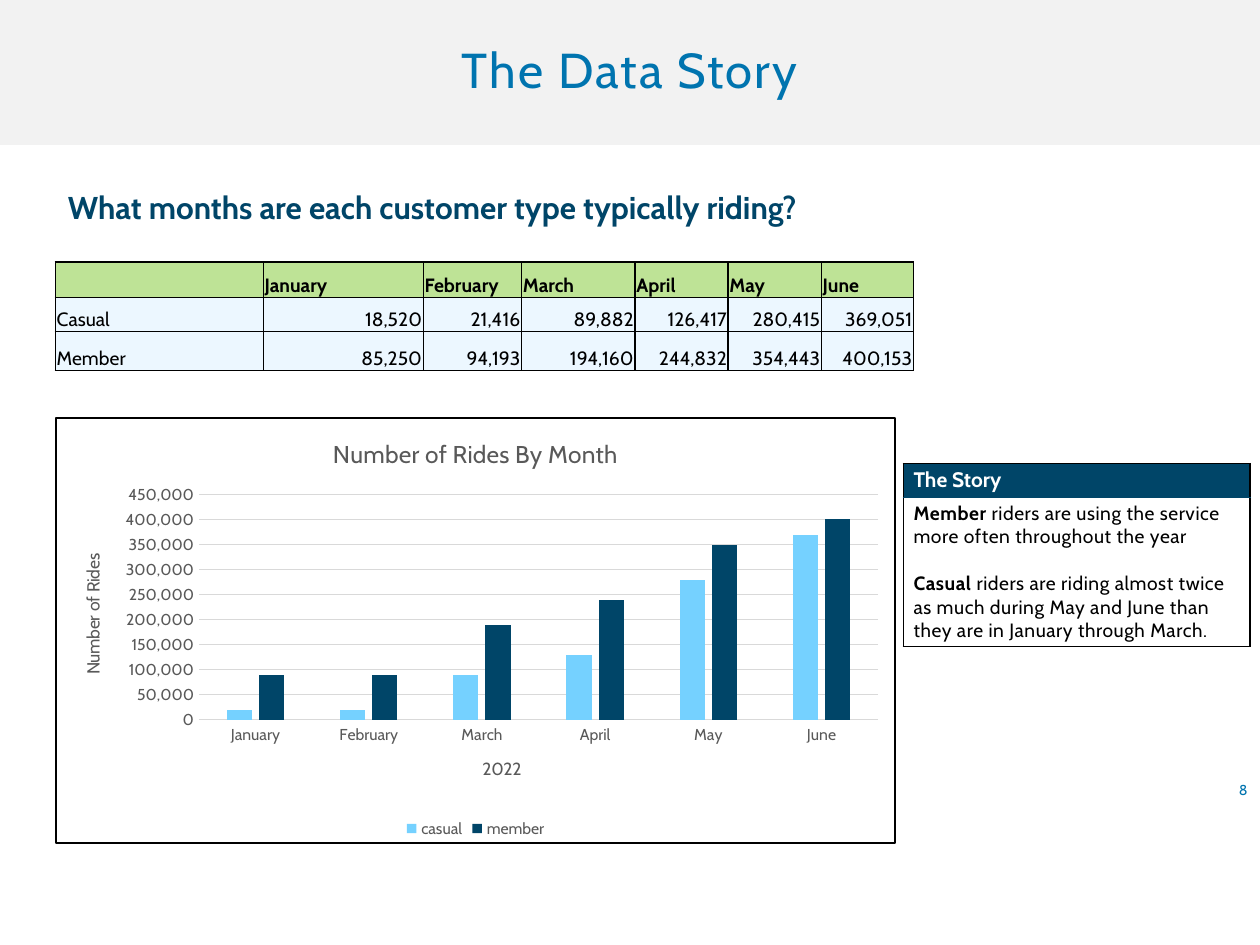
from lxml import etree
from pptx import Presentation
from pptx.chart.data import CategoryChartData
from pptx.dml.color import RGBColor
from pptx.enum.chart import XL_CHART_TYPE, XL_LEGEND_POSITION, XL_TICK_MARK
from pptx.enum.shapes import MSO_SHAPE
from pptx.enum.text import MSO_ANCHOR, PP_ALIGN
from pptx.oxml import parse_xml
from pptx.oxml.ns import nsdecls, qn
from pptx.util import Inches, Pt

COLUMNS = XL_CHART_TYPE.COLUMN_CLUSTERED
BOTTOM_LEGEND = XL_LEGEND_POSITION.BOTTOM
NO_TICKS = XL_TICK_MARK.NONE
MIDDLE, BOTTOM = MSO_ANCHOR.MIDDLE, MSO_ANCHOR.BOTTOM
LEFT, CENTER, RIGHT = PP_ALIGN.LEFT, PP_ALIGN.CENTER, PP_ALIGN.RIGHT
BLACK, WHITE, GRAY, GRID = "000000", "FFFFFF", "595959", "D9D9D9"
BLUE, NAVY, SKY = "0074AF", "004568", "75D1FF"

MONTHS = ["January", "February", "March", "April", "May", "June"]
RIDE_ROWS = [
    [""] + MONTHS,
    ["Casual", "18,520", "21,416", "89,882", "126,417", "280,415", "369,051"],
    ["Member", "85,250", "94,193", "194,160", "244,832", "354,443", "400,153"],
]
ROUNDED_RIDES = {
    "casual": [20000, 20000, 90000, 130000, 280000, 370000],
    "member": [90000, 90000, 190000, 240000, 350000, 400000],
}


def style(font, size, color, bold=False):
    font.name = "Cabin"
    font.size = Pt(size)
    font.bold = bold
    font.color.rgb = RGBColor.from_string(color)


def dress_cell(cell, fill, margins, top=BLACK, bottom=BLACK):
    """Set fill, margins (left, top, right, bottom) and borders, black at the sides."""
    cell.margin_left, cell.margin_top, cell.margin_right, cell.margin_bottom = map(Inches, margins)
    cell.fill.solid()
    cell.fill.fore_color.rgb = RGBColor.from_string(fill)
    properties = cell._tc.get_or_add_tcPr()
    for position, (side, color) in enumerate(zip("LRTB", (BLACK, BLACK, top, bottom))):
        properties.insert(position, parse_xml(
            f'<a:ln{side} w="12700" {nsdecls("a")}><a:solidFill>'
            f'<a:srgbClr val="{color}"/></a:solidFill></a:ln{side}>'))


prs = Presentation()
prs.slide_width, prs.slide_height = Inches(10), Inches(7.5)
slide = prs.slides.add_slide(prs.slide_layouts[6])
shapes = slide.shapes

# Title band
band = shapes.add_shape(MSO_SHAPE.RECTANGLE, 0, 0, Inches(10), Inches(1.15))
band.shadow.inherit = False
band.fill.solid()
band.fill.fore_color.rgb = RGBColor.from_string("F2F2F2")
band.line.fill.background()
band.text_frame.vertical_anchor = MIDDLE
heading = band.text_frame.paragraphs[0]
heading.alignment = CENTER
heading.line_spacing = 0.9
heading_run = heading.add_run()
heading_run.text = "The Data Story"
style(heading_run.font, 28, BLUE)
heading_run._r.get_or_add_rPr().set("spc", "120")

# Question and page number
for text, box, size, color, bold, align in [
    ("8", (7.75, 6.12, 2.25, 0.3), 8.2, BLUE, False, RIGHT),
    ("What months are each customer type typically riding?",
     (0.44, 1.44, 7.37, 0.4), 18, NAVY, True, LEFT),
]:
    frame = shapes.add_textbox(*map(Inches, box)).text_frame
    frame.word_wrap = True
    frame.vertical_anchor = MIDDLE
    line = frame.paragraphs[0]
    line.text = text
    line.alignment = align
    style(line.font, size, color, bold)

# Rides table
rides = shapes.add_table(3, 7, Inches(0.44), Inches(2.08), Inches(6.81), Inches(0.86)).table
for column, width in zip(rides.columns, [1.65, 1.27, 0.78, 0.9, 0.74, 0.74, 0.73]):
    column.width = Inches(width)
for row, height in zip(rides.rows, [0.28, 0.27, 0.31]):
    row.height = Inches(height)
for r, texts in enumerate(RIDE_ROWS):
    for c, text in enumerate(texts):
        cell = rides.cell(r, c)
        dress_cell(cell, "ECF7FF" if r else "BEE396", (0.01, 0.01, 0.01, 0))
        cell.vertical_anchor = BOTTOM
        entry = cell.text_frame.paragraphs[0]
        entry.text = text
        entry.alignment = RIGHT if r and c else LEFT
        style(entry.font, 11, BLACK, bold=r == 0)

# Rides chart
data = CategoryChartData(number_format="#,##0")
data.categories = MONTHS
for rider, counts in ROUNDED_RIDES.items():
    data.add_series(rider, counts)
chart = shapes.add_chart(COLUMNS, Inches(0.44), Inches(3.31), Inches(6.67), Inches(3.39), data).chart
style(chart.font, 10, BLACK)
chart.has_legend = True
chart.legend.position = BOTTOM_LEGEND
chart.legend.include_in_layout = False
style(chart.legend.font, 9, GRAY)

months_axis, rides_axis = chart.category_axis, chart.value_axis
for titled, text, size in [(chart, "Number of Rides By Month", 14),
                           (months_axis, "2022", 10), (rides_axis, "Number of Rides", 10)]:
    titled.has_title = True
    title = (chart.chart_title if titled is chart else titled.axis_title).text_frame.paragraphs[0]
    title.text = text
    style(title.font, size, GRAY)
for axis in (months_axis, rides_axis):
    axis.major_tick_mark = axis.minor_tick_mark = NO_TICKS
    style(axis.tick_labels.font, 9, GRAY)
rides_axis.minimum_scale, rides_axis.maximum_scale, rides_axis.major_unit = 0, 450000, 50000
rides_axis.tick_labels.number_format = "#,##0"
rides_axis.tick_labels.number_format_is_linked = False
rides_axis.format.line.fill.background()
for line in (months_axis.format.line, rides_axis.major_gridlines.format.line):
    line.color.rgb = RGBColor.from_string(GRID)
    line.width = Pt(0.75)

plot = chart.plots[0]
plot.vary_by_categories = False
plot.gap_width, plot.overlap = 219, -27
for series, color in zip(plot.series, (SKY, NAVY)):
    series.format.fill.solid()
    series.format.fill.fore_color.rgb = RGBColor.from_string(color)

# Plot area placement and chart border
plot_area = chart._chartSpace.chart.plotArea
for old_layout in plot_area.findall(qn("c:layout")):
    plot_area.remove(old_layout)
layout = etree.Element(qn("c:layout"))
manual = etree.SubElement(layout, qn("c:manualLayout"))
for tag, value in [("layoutTarget", "inner"), ("xMode", "edge"), ("yMode", "edge"),
                   ("x", "0.17"), ("y", "0.18"), ("w", "0.81"), ("h", "0.53")]:
    etree.SubElement(manual, qn(f"c:{tag}")).set("val", value)
plot_area.insert(0, layout)
chart._chartSpace.chart.addnext(parse_xml(
    f'<c:spPr {nsdecls("c", "a")}><a:noFill/><a:ln w="12700"><a:solidFill>'
    f'<a:srgbClr val="{BLACK}"/></a:solidFill></a:ln></c:spPr>'))

# Story panel
story = shapes.add_table(2, 1, Inches(7.17), Inches(3.68), Inches(2.75), Inches(1.45)).table
story.rows[0].height, story.rows[1].height = Inches(0.27), Inches(1.18)
story_head, story_body = story.cell(0, 0), story.cell(1, 0)
story_margins = (0.08, 0.03, 0.07, 0.04)
dress_cell(story_head, NAVY, story_margins, bottom=NAVY)
dress_cell(story_body, WHITE, story_margins, top=NAVY)
story_title = story_head.text_frame.paragraphs[0]
story_title.text = "The Story"
style(story_title.font, 12, WHITE, bold=True)
story_body.vertical_anchor = MIDDLE
member_note = story_body.text_frame.paragraphs[0]
casual_note = story_body.text_frame.add_paragraph()
casual_note.space_before = Pt(13.4)
for note, rider, finding in [
    (member_note, "Member", " riders are using the service more often throughout the year"),
    (casual_note, "Casual", " riders are riding almost twice as much during May and June "
                            "than they are in January through March."),
]:
    for text, bold in [(rider, True), (finding, False)]:
        run = note.add_run()
        run.text = text
        style(run.font, 11, BLACK, bold)
        run._r.get_or_add_rPr().set("spc", "30")

prs.save("out.pptx")
